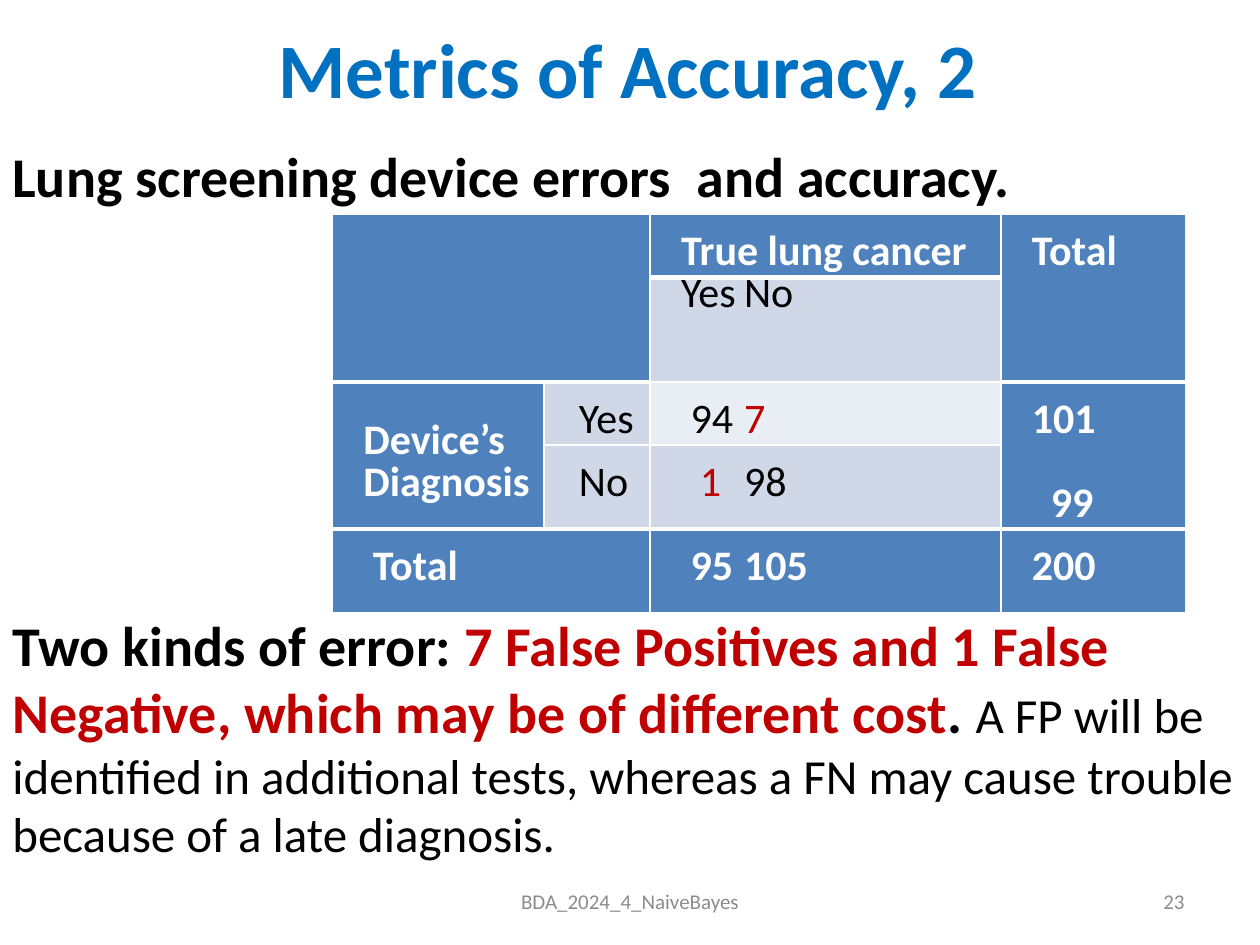
from lxml.etree import SubElement
from pptx import Presentation
from pptx.dml.color import RGBColor
from pptx.enum.text import MSO_ANCHOR, PP_ALIGN
from pptx.oxml.ns import qn
from pptx.util import Pt

FONT = "Calibri"
BLACK, WHITE, RED, BLUE, GREY = "000000", "FFFFFF", "C00000", "0070C0", "8C8C8C"
HEAD, BAND, PALE = "4F81BD", "D0D8E8", "E9EDF4"

CAPTIONS = [
    ((14.4, 0, 689, 77), "Metrics of Accuracy, 2", 44, BLUE, True, PP_ALIGN.CENTER),
    ((246, 500.5, 228, 28.75), "BDA_2024_4_NaiveBayes", 12, GREY, False, PP_ALIGN.CENTER),
    ((516, 500.5, 168, 28.75), "23", 12, GREY, False, PP_ALIGN.RIGHT),
]
BODY_BOX = (0, 77.5, 720, 433)
BODY_GAP = 229.5
BODY = [
    [("Lung screening device errors  and accuracy.", 32, BLACK, True)],
    [
        ("Two kinds of error: ", 32, BLACK, True),
        ("7 False Positives and 1 False Negative, which may be of different cost", 32, RED, True),
        (". ", 32, BLACK, True),
        ("A FP will be identified in additional tests, whereas a FN may cause trouble "
         "because of a late diagnosis.", 28, BLACK, False),
    ],
]

TABLE_AT = (190, 122.4)
COLS = [121, 60.5, 200.5, 105.5]
ROWS = [36, 60, 36, 48, 48]
LINE = 12
SPACE = 5.4
CELL_LEFT = 17.7
THICK_BELOW = {(0, 2), (1, 0), (1, 1), (1, 3), (3, 0), (3, 1), (3, 2), (3, 3)}

# (row, col): row span, col span, fill, bold, lines above, paragraphs
CELLS = {
    (0, 0): (2, 2, HEAD, True, 0, []),
    (0, 2): (1, 1, HEAD, True, 2, [(0, 0, 0, [("True lung cancer", WHITE)])]),
    (0, 3): (2, 1, HEAD, True, 2, [(0, 0, 0, [("Total", WHITE)])]),
    (1, 2): (1, 1, BAND, False, 1, [(0, 0, 157.7, [("Yes\tNo", BLACK)])]),
    (2, 0): (2, 1, HEAD, True, 3, [(0, 0, 0, [("Device’s", WHITE)]),
                                   (1, 0, 0, [("Diagnosis", WHITE)])]),
    (2, 1): (1, 1, BAND, False, 2, [(0, 0.4, 0, [("Yes", BLACK)])]),
    (2, 2): (1, 1, PALE, False, 2, [(0, 1, 161.7, [("94\t", BLACK), ("7", RED)])]),
    (2, 3): (2, 1, HEAD, True, 2, [(0, 0, 0, [("101", WHITE)]),
                                   (3, 2, 0, [("99", WHITE)])]),
    (3, 1): (1, 1, BAND, False, 2, [(0, 0.4, 0, [("No", BLACK)])]),
    (3, 2): (1, 1, BAND, False, 2, [(0, 2, 161.7, [("1\t", RED), ("98", BLACK)])]),
    (4, 0): (1, 2, HEAD, True, 2, [(0, 1, 0, [("Total", WHITE)])]),
    (4, 2): (1, 1, HEAD, True, 2, [(0, 1, 166.3, [("95\t105", WHITE)])]),
    (4, 3): (1, 1, HEAD, True, 2, [(0, 0, 0, [("200", WHITE)])]),
}


def rgb(color):
    return RGBColor.from_string(color)


def add_run(p, text, size, color, bold):
    r = p.add_run()
    r.text = text
    r.font.name, r.font.size, r.font.bold = FONT, Pt(size), bold
    r.font.color.rgb = rgb(color)


def add_box(s, box):
    tf = s.shapes.add_textbox(*map(Pt, box)).text_frame
    tf.word_wrap = True
    return tf


def set_borders(cell, widths):
    tcPr = cell._tc.get_or_add_tcPr()
    for i, (side, width) in enumerate(widths.items()):
        ln = SubElement(tcPr, qn("a:" + side), w=str(Pt(width)))
        fill = SubElement(ln, qn("a:solidFill"))
        SubElement(fill, qn("a:srgbClr"), val=WHITE)
        tcPr.insert(i, ln)


def fill_cell(cell, fill, bold, above, paragraphs):
    cell.fill.solid()
    cell.fill.fore_color.rgb = rgb(fill)
    cell.margin_left, cell.margin_right = Pt(CELL_LEFT), Pt(5)
    cell.margin_top, cell.margin_bottom = Pt(above * LINE), 0
    tf = cell.text_frame
    for i, (gap, lead, stop, runs) in enumerate(paragraphs):
        p = tf.add_paragraph() if i else tf.paragraphs[0]
        p.line_spacing = Pt(LINE)
        p.space_before = Pt(gap * LINE)
        pPr = p._p.get_or_add_pPr()
        pPr.set("marL", "0")
        pPr.set("indent", str(Pt(lead * SPACE)))
        if stop:
            tabs = SubElement(pPr, qn("a:tabLst"))
            SubElement(tabs, qn("a:tab"), pos=str(Pt(stop - CELL_LEFT)), algn="r")
        for text, color in runs:
            add_run(p, text, 24, color, bold)


def add_matrix(s):
    frame = s.shapes.add_table(len(ROWS), len(COLS), *map(Pt, (*TABLE_AT, sum(COLS), sum(ROWS))))
    table = frame.table
    table.first_row = table.horz_banding = False
    for col, width in zip(table.columns, COLS):
        col.width = Pt(width)
    for row, height in zip(table.rows, ROWS):
        row.height = Pt(height)
    for (r, c), (rows, cols, *content) in CELLS.items():
        cell = table.cell(r, c)
        if rows * cols > 1:
            cell.merge(table.cell(r + rows - 1, c + cols - 1))
        top = 3 if (r - 1, c) in THICK_BELOW else 1
        bottom = 3 if (r + rows - 1, c) in THICK_BELOW else 1
        set_borders(cell, {"lnL": 1, "lnR": 1, "lnT": top, "lnB": bottom})
        fill_cell(cell, *content)


def main():
    prs = Presentation()
    prs.slide_width, prs.slide_height = Pt(720), Pt(540)
    s = prs.slides.add_slide(prs.slide_layouts[6])
    for box, text, size, color, bold, align in CAPTIONS:
        tf = add_box(s, box)
        tf.vertical_anchor = MSO_ANCHOR.MIDDLE
        tf.paragraphs[0].alignment = align
        add_run(tf.paragraphs[0], text, size, color, bold)
    tf = add_box(s, BODY_BOX)
    for i, runs in enumerate(BODY):
        p = tf.add_paragraph() if i else tf.paragraphs[0]
        p.space_before = Pt(BODY_GAP * i)
        for run in runs:
            add_run(p, *run)
    add_matrix(s)
    prs.save("out.pptx")


if __name__ == "__main__":
    main()
